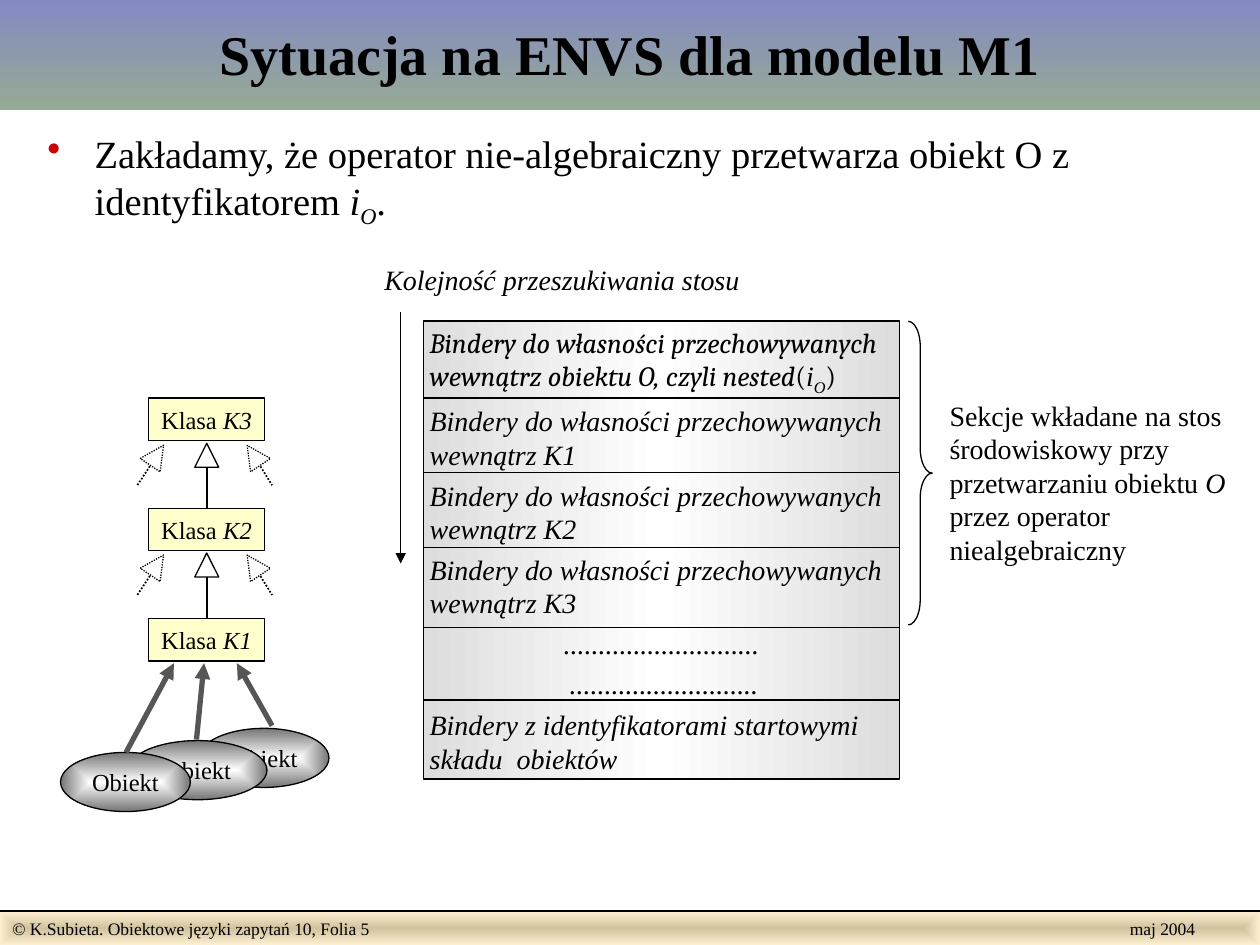
import pptx
import pptx.dml.color
import pptx.enum.dml
import pptx.enum.shapes
import pptx.enum.text
import pptx.oxml
import pptx.oxml.ns
import pptx.util
from dataclasses import dataclass

Pt = pptx.util.Pt
Kind = pptx.enum.shapes.MSO_SHAPE
Align = pptx.enum.text.PP_ALIGN
Anchor = pptx.enum.text.MSO_ANCHOR
qn = pptx.oxml.ns.qn
NS = pptx.oxml.ns.nsdecls("a")


@dataclass(frozen=True)
class Theme:
    font: str = "Times New Roman"
    alt: str = "Cambria"
    ink: str = "000000"
    paper: str = "FFFFFF"
    cream: str = "FFFFCC"
    slate: str = "565656"
    dot: str = "CC0000"
    sand: tuple = ("D1C39F", "FFEFD1")
    sky: tuple = ("8488C4", "96AB94")
    steel: tuple = ("FFFFFF", "757575")
    silver: tuple = ("DDDDDD", "FFFFFF", "DDDDDD")
    title: int = 32
    body: int = 22
    note: int = 16
    label: int = 14
    small: int = 10


def rgb(code):
    return pptx.dml.color.RGBColor.from_string(code)


def write(shape, paras, theme, size, align=Align.LEFT, anchor=Anchor.TOP,
          pad=(7.2, 3.6), after=0, wrap=True, bullet=None):
    """Each paragraph is a list of (text, marks): b bold, i italic, s sub, c second font."""
    frame = shape.text_frame
    frame.word_wrap = wrap
    frame.vertical_anchor = anchor
    frame.margin_left = frame.margin_right = Pt(pad[0])
    frame.margin_top = frame.margin_bottom = Pt(pad[1])
    for n, runs in enumerate(paras):
        para = frame.paragraphs[0] if n == 0 else frame.add_paragraph()
        para.alignment = align
        para.space_after = Pt(after)
        if bullet:
            props = para._p.get_or_add_pPr()
            props.set("marL", str(Pt(27)))
            props.set("indent", str(-Pt(27)))
            props.append(pptx.oxml.parse_xml(
                f'<a:buClr {NS}><a:srgbClr val="{bullet}"/></a:buClr>'))
            props.append(pptx.oxml.parse_xml(f'<a:buChar {NS} char="•"/>'))
        for text, marks in runs:
            run = para.add_run()
            run.text = text
            font = run.font
            font.name = theme.alt if "c" in marks else theme.font
            font.size = Pt(size)
            font.color.rgb = rgb(theme.ink)
            font.bold = "b" in marks
            font.italic = "i" in marks
            if "s" in marks:
                run._r.get_or_add_rPr().set("baseline", "-25000")
    return frame


class Board:
    def __init__(self, slide, theme):
        self.slide = slide
        self.theme = theme

    def box(self, kind, at, fill=None, line=None, turn=0, dots=False):
        shape = self.slide.shapes.add_shape(kind, *map(Pt, at))
        shape.shadow.inherit = False
        shape.rotation = turn
        if fill:
            shape.fill.solid()
            shape.fill.fore_color.rgb = rgb(fill)
        else:
            shape.fill.background()
        if line:
            self.pen(shape.line, line, self.theme.ink, dots)
        else:
            shape.line.fill.background()
        return shape

    def blend(self, kind, at, hues, angle=None, line=None):
        """Gradient shape: linear with an angle, otherwise outward from the centre."""
        shape = self.box(kind, at, line=line)
        step = 100000 // (len(hues) - 1)
        stops = "".join(f'<a:gs pos="{n * step}"><a:srgbClr val="{hue}"/></a:gs>'
                        for n, hue in enumerate(hues))
        if angle is None:
            way = ('<a:path path="rect"><a:fillToRect l="50000" t="50000" '
                   'r="50000" b="50000"/></a:path>')
        else:
            way = f'<a:lin ang="{angle * 60000}" scaled="0"/>'
        grad = pptx.oxml.parse_xml(
            f'<a:gradFill {NS} rotWithShape="1"><a:gsLst>{stops}</a:gsLst>{way}</a:gradFill>')
        props = shape._element.spPr
        props.replace(props.find(qn("a:noFill")), grad)
        return shape

    def pen(self, line, width, hue, dots=False):
        line.width = Pt(width)
        line.color.rgb = rgb(hue)
        if dots:
            line.dash_style = pptx.enum.dml.MSO_LINE.ROUND_DOT

    def line(self, start, end, width=0.75, hue=None, dots=False, arrow=False):
        link = self.slide.shapes.add_connector(
            pptx.enum.shapes.MSO_CONNECTOR.STRAIGHT, *map(Pt, start + end))
        self.pen(link.line, width, hue or self.theme.ink, dots)
        if arrow:
            link.line._get_or_add_ln().append(
                pptx.oxml.parse_xml(f'<a:tailEnd {NS} type="triangle"/>'))
        link._element.spPr.append(pptx.oxml.parse_xml(f'<a:effectLst {NS}/>'))

    def text(self, at, paras, size, **look):
        area = self.slide.shapes.add_textbox(*map(Pt, at))
        return write(area, paras, self.theme, size, **look)

    def label(self, shape, runs, size):
        write(shape, [runs], self.theme, size, align=Align.CENTER,
              anchor=Anchor.MIDDLE, wrap=False)


def main():
    deck = pptx.Presentation()
    deck.slide_width, deck.slide_height = Pt(720), Pt(540)
    theme = Theme()
    board = Board(deck.slides.add_slide(deck.slide_layouts[6]), theme)

    # Footer
    foot = board.blend(Kind.RECTANGLE, (0, 521, 720, 19), theme.sand)
    write(foot, [[("© K.Subieta. Obiektowe języki zapytań 10, Folia 5", "")]],
          theme, theme.small)
    board.line((0, 520.5), (720, 520.5), 1)
    board.text((638.5, 521, 60, 19), [[("maj 2004", "")]], theme.small)

    # Environment stack
    stack = board.blend(Kind.RECTANGLE, (242, 183.6, 272, 261.4), theme.silver, 0, line=1)
    prop = "Bindery do własności przechowywanych wewnątrz "
    rows = [[(prop + "obiektu O, czyli nested", "ic"), ("(", "c"), ("i", "i"),
             ("O", "is"), (")", "c")]]
    rows += [[(f"{prop}K{n}", "i")] for n in (1, 2, 3)]
    rows += [[("." * n, "i")] for n in (28, 27)]
    rows.append([("Bindery z identyfikatorami startowymi składu  obiektów", "i")])
    frame = write(stack, rows, theme, theme.note, pad=(3.6, 2.2), after=4)
    frame.paragraphs[4].alignment = Align.CENTER
    frame.paragraphs[5]._p.get_or_add_pPr().set("indent", str(Pt(80)))
    for y, width in ((227.5, 0.75), (270, 0.75), (313, 0.75), (358.5, 0.75), (400, 1.5)):
        board.line((242, y), (514, y), width)

    # Search order and pushed sections
    board.text((212.5, 146.5, 240, 27), [[("Kolejność przeszukiwania stosu", "i")]],
               theme.note)
    board.line((229, 178.5), (229, 322), arrow=True)
    brace = board.box(Kind.RIGHT_BRACE, (519, 183.6, 13.7, 173.5), line=0.75)
    brace.adjustments[0] = 1.05
    board.text((535.5, 224, 184.5, 104),
               [[("Sekcje wkładane na stos środowiskowy przy przetwarzaniu obiektu ", ""),
                 ("O", "i"), (" przez operator niealgebraiczny", "")]], theme.note)

    # Objects
    for x, y, width in ((113.8, 416.2, 74.2), (73.4, 423.2, 79.2), (34.6, 430, 74.2)):
        oval = board.blend(Kind.OVAL, (x, y, width, 33.8), theme.steel, line=0.75)
        board.label(oval, [("Obiekt", "")], theme.label)

    # Classes
    for n in (1, 2, 3):
        card = board.box(Kind.RECTANGLE, (85, 416.5 - 63 * n, 66, 24.3), theme.cream, 0.75)
        board.label(card, [("Klasa ", ""), (f"K{n}", "i")], theme.label)

    # Links from objects to their class
    for start, end in (((72, 430), (99.4, 379)), ((112.3, 422.6), (116.6, 379)),
                       ((155.5, 414.7), (135.4, 379))):
        board.line(start, end, 3, theme.slate, arrow=True)

    # Inheritance arrows: solid in the middle, dotted on both sides
    for top in (253.3, 316):
        for left, turn, near, far, dots in ((111.3, 0, (118.1, 6), (118.1, 37), False),
                                            (138.2, -33.9, (144.7, 6.5), (155.5, 24), True),
                                            (82.8, 33.9, (90, 6.5), (78.5, 24), True)):
            board.line((near[0], top + near[1]), (far[0], top + far[1]), 1, dots=dots)
            board.box(Kind.ISOSCELES_TRIANGLE, (left, top, 13.7, 13.7),
                      theme.paper, 0.75, turn, dots)

    # Title and lead
    head = board.blend(Kind.RECTANGLE, (0, -2, 720, 65), theme.sky, 90)
    board.label(head, [("Sytuacja na ENVS dla modelu M1", "b")], theme.title)
    board.text((20, 71, 700, 449),
               [[("Zakładamy, że operator nie-algebraiczny przetwarza obiekt O z "
                  "identyfikatorem ", ""), ("i", "i"), ("O", "is"), (".", "")]],
               theme.body, bullet=theme.dot)

    deck.save("out.pptx")


if __name__ == "__main__":
    main()
